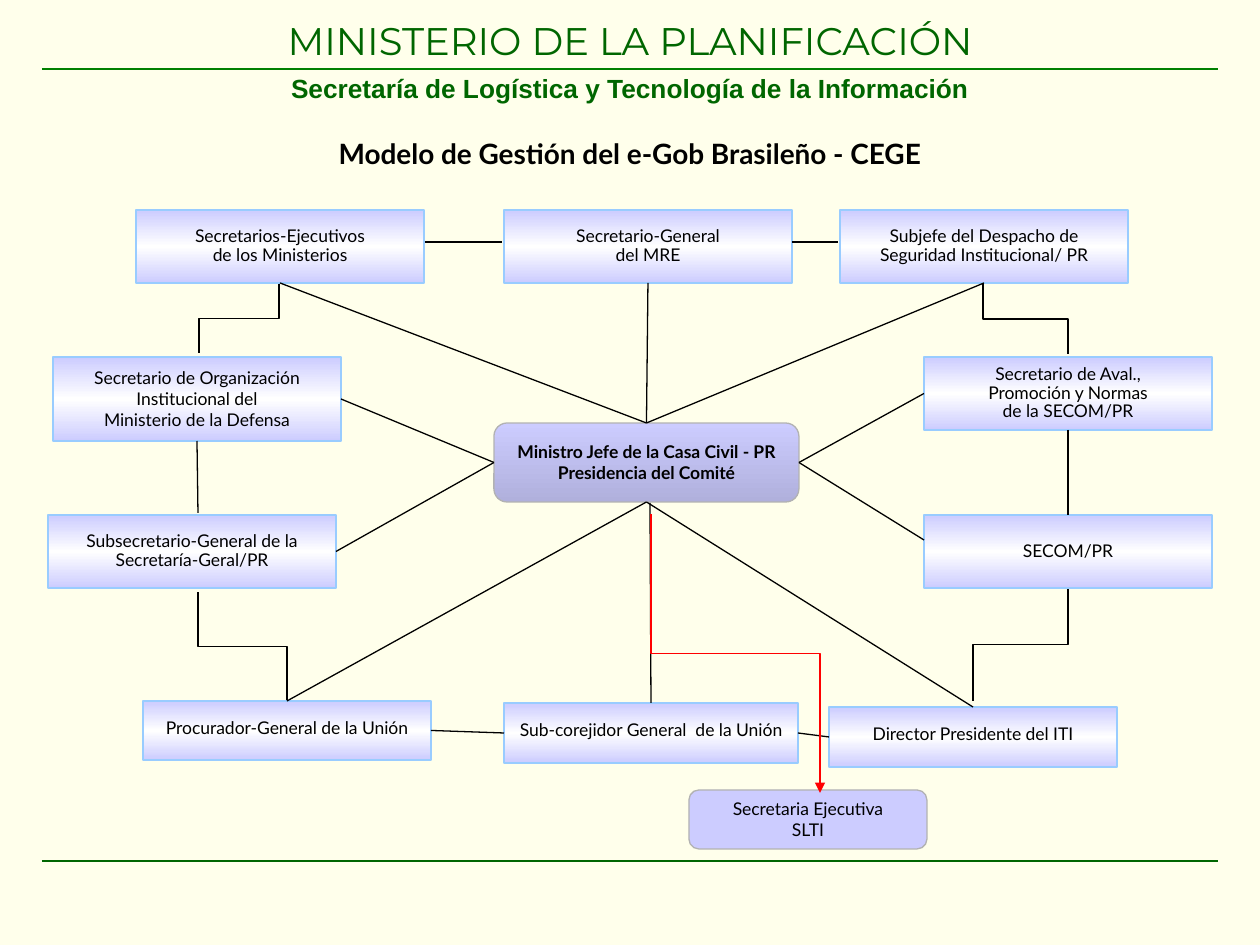
from copy import deepcopy

from lxml.etree import SubElement
from pptx import Presentation
from pptx.dml.color import RGBColor
from pptx.enum.shapes import MSO_CONNECTOR, MSO_SHAPE
from pptx.enum.text import MSO_ANCHOR, PP_ALIGN
from pptx.oxml.ns import qn
from pptx.util import Emu, Pt

PX_PER_INCH = 126
COLORS = {
    "page": "FFFFEB", "title": "006600", "top_rule": "008000",
    "text": "000000", "line": "000000", "lilac": "CCCCFF", "white": "FFFFFF",
    "violet": "B0B0DC", "member_edge": "99CCFF", "round_edge": "B2B2B2",
    "arrow": "FF0000",
}
MEMBER_FILL = ["lilac", "white", "lilac"]
CENTER_FILL = ["lilac", "violet"]
TOP, LEFT, BOTTOM, RIGHT = range(4)

# name: (left, top, width, height, line spacing, text)
MEMBERS = {
    "ministries": (136, 210, 288, 73, 0.89, "Secretarios-Ejecutivos\nde los Ministerios"),
    "mre": (504, 210, 288, 73, 0.89, "Secretario-General\ndel MRE"),
    "security": (840, 210, 288, 73, 0.89,
                 "Subjefe del Despacho de\nSeguridad Institucional/ PR"),
    "defense": (53, 357, 288, 84, 0.99,
                "Secretario de Organización\nInstitucional del\nMinisterio de la Defensa"),
    "norms": (924, 357, 288, 73, 0.89,
              "Secretario de Aval.,\nPromoción y Normas\nde la SECOM/PR"),
    "general": (48, 515, 288, 73, 0.89,
                "Subsecretario-General de la\nSecretaría-Geral/PR"),
    "secom": (924, 515, 288, 73, 0.89, "SECOM/PR"),
    "attorney": (143, 701, 288, 59, 0.59, "Procurador-General de la Unión"),
    "auditor": (504, 703, 294, 60, 0.59, "Sub-corejidor General  de la Unión"),
    "iti": (829, 707, 288, 60, 0.59, "Director Presidente del ITI"),
}

# Each end is a point or a (box, side) pair
STRAIGHT_LINES = [
    ((425, 242), (502, 242)),
    ((792, 242), (838, 242)),
    (("attorney", RIGHT), ("auditor", LEFT)),
    (("auditor", RIGHT), ("iti", LEFT)),
    (("defense", BOTTOM), (198, 513)),
    (("norms", BOTTOM), ("secom", TOP)),
    (("ministries", BOTTOM), ("center", TOP)),
    (("mre", BOTTOM), ("center", TOP)),
    (("security", BOTTOM), ("center", TOP)),
    (("defense", RIGHT), ("center", LEFT)),
    (("general", RIGHT), ("center", LEFT)),
    (("norms", LEFT), ("center", RIGHT)),
    ((924, 540), ("center", RIGHT)),
    (("attorney", TOP), ("center", BOTTOM)),
    (("auditor", TOP), (650, 503)),
    (("iti", TOP), ("center", BOTTOM)),
]
ELBOWS = [
    ((279, 284), (199, 353)),
    ((983, 284), (1068, 354)),
    ((198, 592), (287, 701)),
    ((1068, 588), (973, 701)),
]


def px(value):
    return Emu(round(value * 914400 / PX_PER_INCH))


def color(name):
    return RGBColor.from_string(COLORS[name])


def write_text(box, text, size, font, ink="text", bold=False, spacing=None):
    frame = box.text_frame
    frame.text = text
    for para in frame.paragraphs:
        para.alignment = PP_ALIGN.CENTER
        para.line_spacing = spacing
        for span in para.runs:
            span.font.size = Pt(size)
            span.font.name = font
            span.font.bold = bold
            span.font.color.rgb = color(ink)


def add_heading(page, top, height, inset, *text_style):
    box = page.shapes.add_textbox(0, px(top), px(1260), px(height))
    frame = box.text_frame
    frame.word_wrap = True
    frame.margin_top = frame.margin_bottom = px(inset)
    write_text(box, *text_style)


def fill_gradient(shape, names):
    """Spread the named colours evenly from top to bottom."""
    shape.fill.gradient()
    shape.fill.gradient_angle = 270
    stop_list = next(shape.element.iter(qn("a:gsLst")))
    while len(stop_list) < len(names):
        stop_list.append(deepcopy(stop_list[-1]))
    for index, (stop, name) in enumerate(zip(shape.fill.gradient_stops, names)):
        stop.position = index / (len(names) - 1)
        stop.color.rgb = color(name)


def add_box(page, kind, place, text, fill, edge, spacing, bold=False):
    shape = page.shapes.add_shape(kind, *map(px, place))
    shape.shadow.inherit = False
    if isinstance(fill, list):
        fill_gradient(shape, fill)
    else:
        shape.fill.solid()
        shape.fill.fore_color.rgb = color(fill)
    shape.line.color.rgb = color(edge)
    shape.line.width = Pt(0.75)
    shape.text_frame.word_wrap = False
    shape.text_frame.vertical_anchor = MSO_ANCHOR.MIDDLE
    write_text(shape, text, 10, "Lato", bold=bold, spacing=spacing)
    return shape


def add_line(page, start, end, ink="line", kind=MSO_CONNECTOR.STRAIGHT):
    line = page.shapes.add_connector(kind, *map(px, start + end))
    line.line.color.rgb = color(ink)
    line.line.width = Pt(0.75)
    SubElement(line.element.spPr, qn("a:effectLst"))
    return line


def add_link(page, boxes, start, end):
    """Draw a straight line whose ends are points or joined box sides."""
    points = [(0, 0) if end_at[0] in boxes else end_at for end_at in (start, end)]
    line = add_line(page, *points)
    for end_at, connect in ((start, line.begin_connect), (end, line.end_connect)):
        if end_at[0] in boxes:
            connect(boxes[end_at[0]], end_at[1])


def add_elbow(page, start, end, ink="line"):
    """Draw a down-across-down connector as a quarter-turned elbow."""
    (x1, y1), (x2, y2) = start, end
    middle_x, middle_y = (x1 + x2) / 2, (y1 + y2) / 2
    half_run, half_rise = (y2 - y1) / 2, (x1 - x2) / 2
    line = add_line(page, (middle_x - half_run, middle_y - half_rise),
                    (middle_x + half_run, middle_y + half_rise),
                    ink, MSO_CONNECTOR.ELBOW)
    line.element.spPr.find(qn("a:xfrm")).set("rot", "5400000")
    return line


def main():
    deck = Presentation()
    deck.slide_width, deck.slide_height = px(1260), px(945)
    page = deck.slides.add_slide(deck.slide_layouts[6])
    page.background.fill.solid()
    page.background.fill.fore_color.rgb = color("page")

    add_heading(page, 11, 59, 6, "MINISTERIO DE LA PLANIFICACIÓN", 22, "Montserrat", "title")
    add_heading(page, 69, 43, 6, "Secretaría de Logística y Tecnología de la Información",
                15, "Arial", "title", True, 0.93)
    add_heading(page, 136, 34, 0, "Modelo de Gestión del e-Gob Brasileño - CEGE",
                16, "Lato", "text", True, 1.01)
    add_line(page, (42, 69), (1218, 69), "top_rule")
    add_line(page, (42, 861), (1218, 861), "title")

    for start, end in ELBOWS:
        add_elbow(page, start, end)
    boxes = {}
    for name, (*place, spacing, text) in MEMBERS.items():
        boxes[name] = add_box(page, MSO_SHAPE.RECTANGLE, place, text,
                              MEMBER_FILL, "member_edge", spacing)
    boxes["center"] = add_box(
        page, MSO_SHAPE.ROUNDED_RECTANGLE, (494, 423, 305, 79),
        "Ministro Jefe de la Casa Civil - PR\nPresidencia del Comité",
        CENTER_FILL, "round_edge", 0.99, bold=True)
    add_box(page, MSO_SHAPE.ROUNDED_RECTANGLE, (689, 790, 238, 59),
            "Secretaria Ejecutiva\nSLTI", "lilac", "round_edge", 0.99)
    for start, end in STRAIGHT_LINES:
        add_link(page, boxes, start, end)

    arrow = add_elbow(page, (651, 514), (820, 793), "arrow")
    SubElement(arrow.line._get_or_add_ln(), qn("a:tailEnd"), type="triangle")

    deck.save("out.pptx")


if __name__ == "__main__":
    main()
